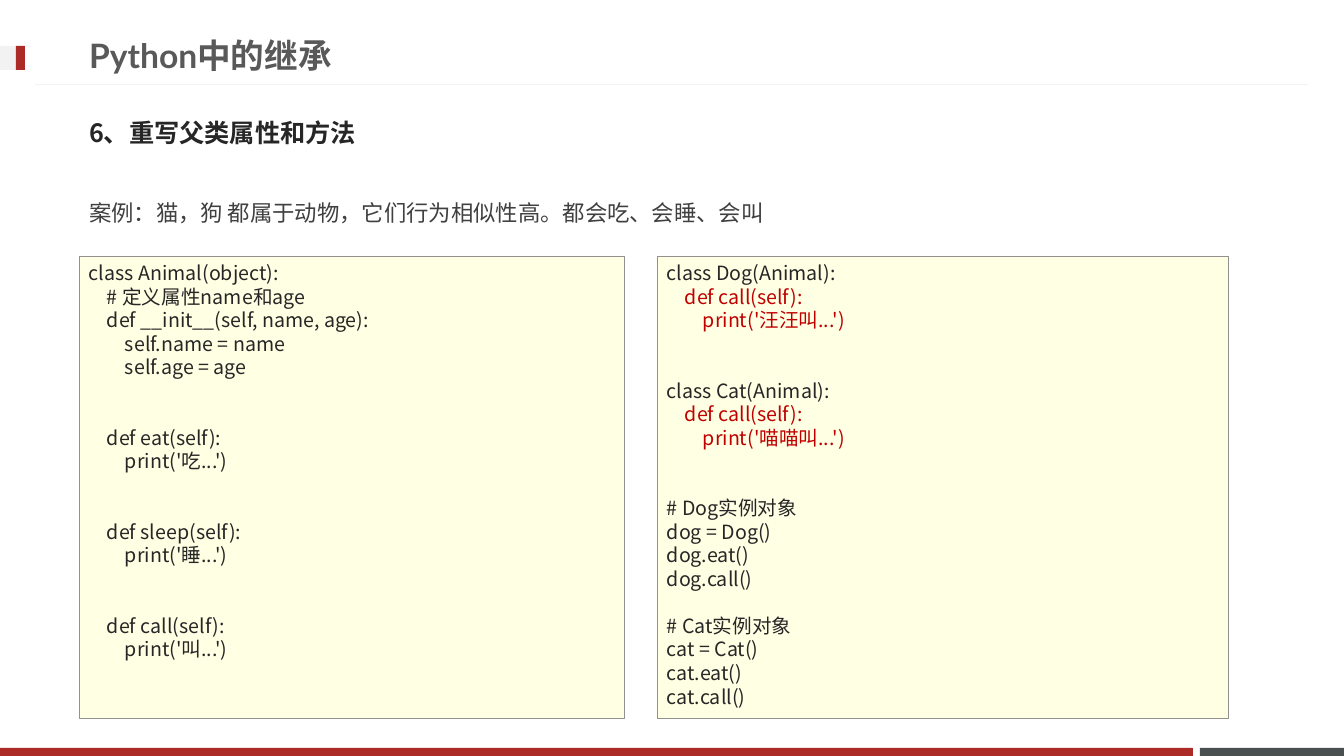
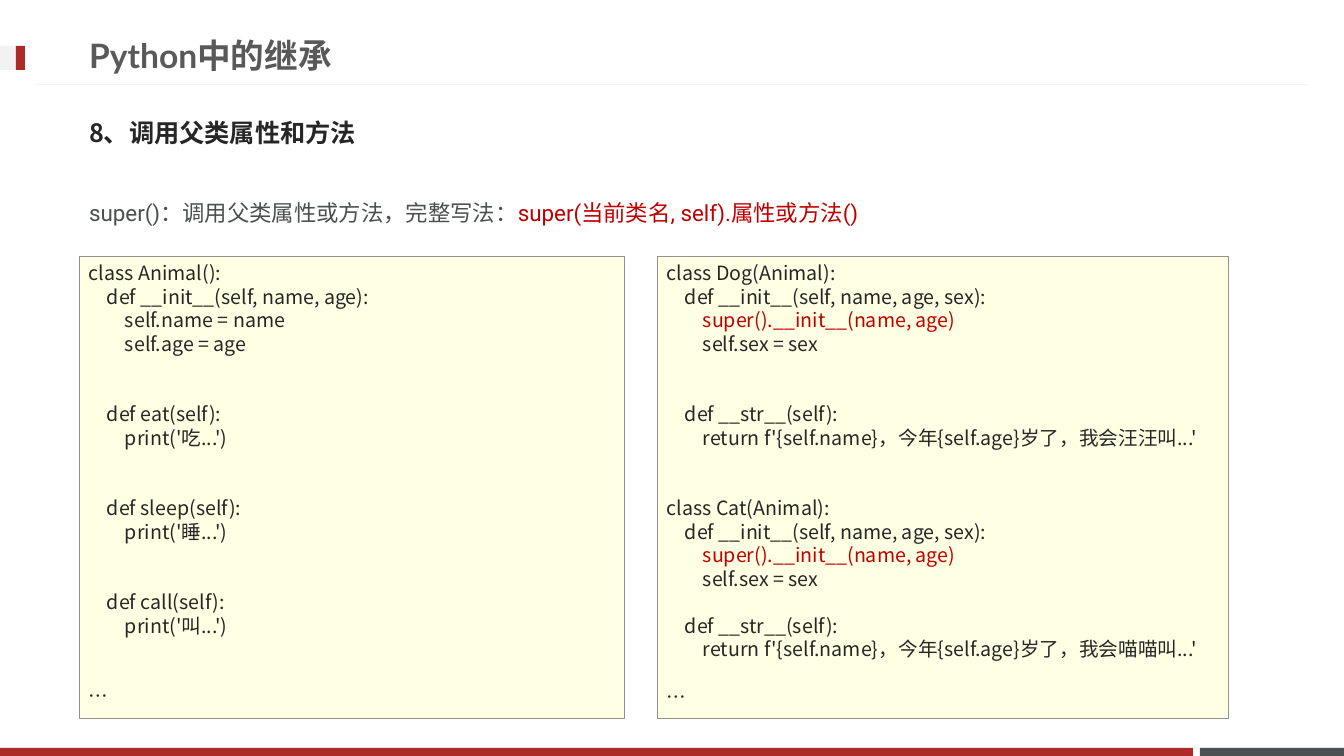
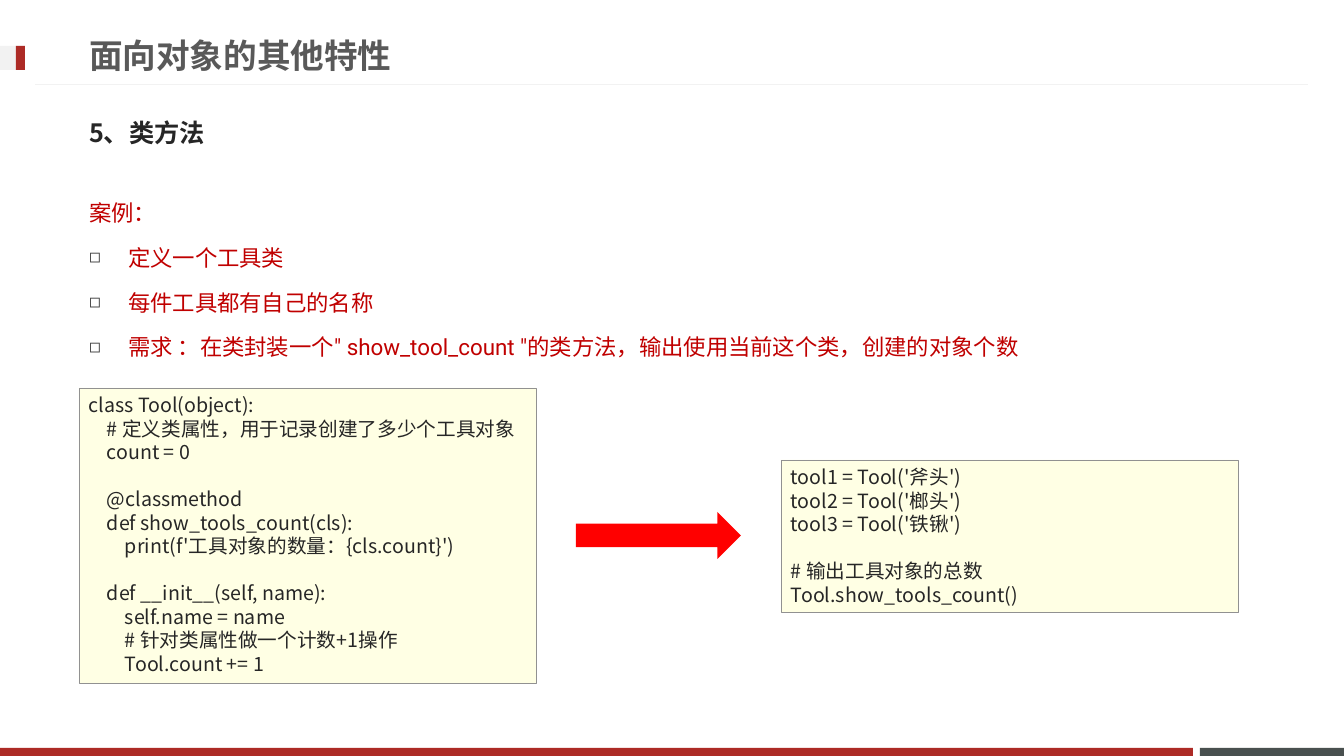
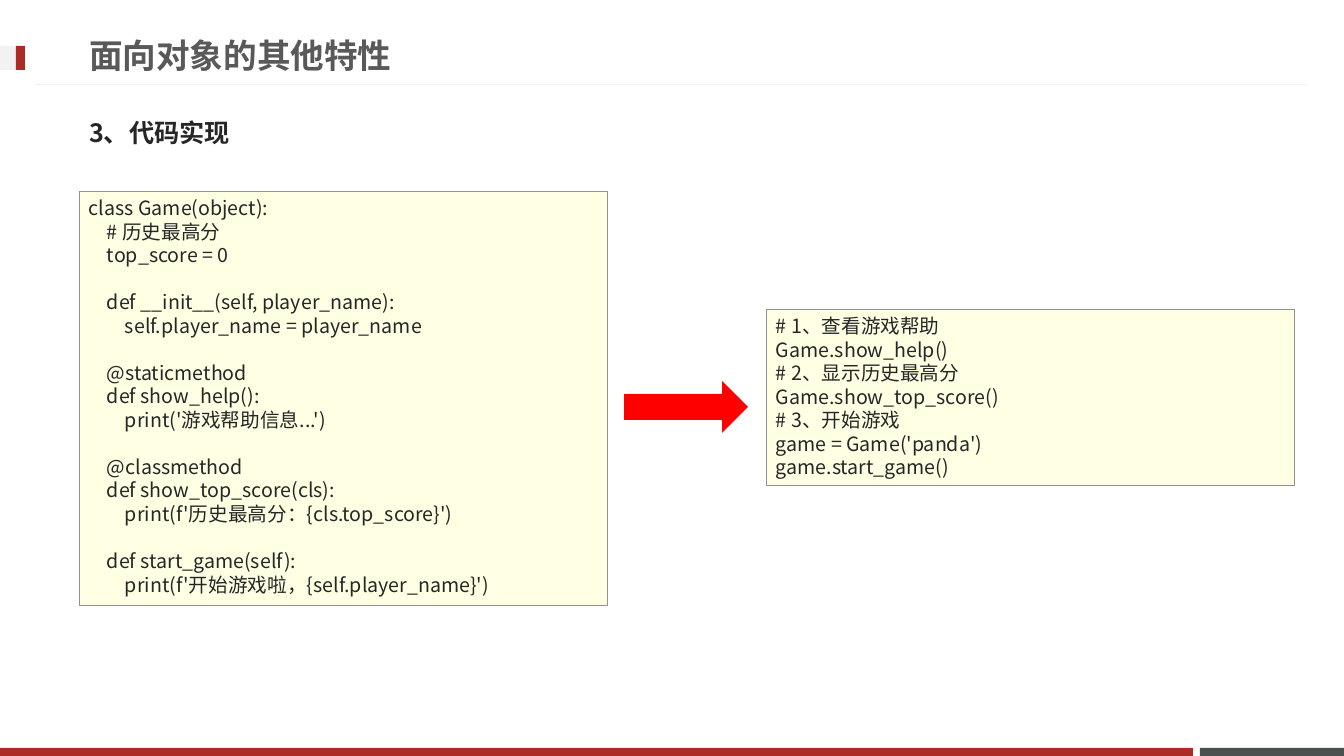
from dataclasses import dataclass
from typing import NamedTuple, Optional

from lxml import etree
from pptx import Presentation
from pptx.dml.color import RGBColor
from pptx.enum.shapes import MSO_CONNECTOR, MSO_SHAPE
from pptx.enum.text import MSO_ANCHOR, MSO_AUTO_SIZE, PP_ALIGN
from pptx.oxml.ns import qn
from pptx.util import Emu, Pt

RECT = MSO_SHAPE.RECTANGLE
ARROW = MSO_SHAPE.RIGHT_ARROW
STRAIGHT = MSO_CONNECTOR.STRAIGHT
TOP, MIDDLE = MSO_ANCHOR.TOP, MSO_ANCHOR.MIDDLE
LEFT = PP_ALIGN.LEFT
NO_FIT = MSO_AUTO_SIZE.NONE

# Shared look
RED, SLATE, PALE = "AD2B26", "49504F", "F2F2F2"
ACCENT, INK, TEXT, TITLE = "C00000", "262626", "404040", "595959"
CODE_FILL, CODE_LINE, ARROW_FILL = "FFFFE4", "919191", "FF0000"
CJK, TITLE_FONT, BODY_FONT = "Noto Sans CJK JP", "Lato", "Roboto"
CODE_PITCH, BODY_PITCH = 16.8, 28.7
CODE_INDENT, BULLET_INDENT = 18, 39


class Box(NamedTuple):
    x: int
    y: int
    w: int
    h: int


class Style(NamedTuple):
    size: int
    font: str
    color: str
    bold: bool = False


class Run(NamedTuple):
    text: str
    color: str


class Item(NamedTuple):
    runs: list[Run]
    bullet: bool = False


class Code(NamedTuple):
    box: Box
    text: str  # four spaces make a level, a leading "!" makes a line red


@dataclass
class Page:
    title: str
    heading: str
    codes: list[Code]
    items: Optional[list[Item]] = None
    body: Box = Box(79, 181, 1185, 465)
    arrow: Optional[Box] = None


TITLE_STYLE = Style(24, TITLE_FONT, TITLE, True)
HEADING_STYLE = Style(18, CJK, INK, True)
BODY_STYLE = Style(16, BODY_FONT, TEXT)
CODE_STYLE = Style(14, CJK, INK)
TITLE_BOX = Box(79, 27, 967, 57)
HEADING_BOX = Box(79, 104, 1185, 57)
LEFT_CODE, RIGHT_CODE = Box(79, 256, 545, 462), Box(657, 256, 571, 462)


# Helpers
def px(n: int) -> Emu:
    return Emu(round(n * 914400 / 100.8))


def rgb(color: str) -> RGBColor:
    return RGBColor.from_string(color)


def place(sp, box: Box) -> None:
    sp.left, sp.top, sp.width, sp.height = map(px, box)


def add_block(s, box: Box, fill: str, kind=RECT, line: Optional[str] = None):
    sp = s.shapes.add_shape(kind, *map(px, box))
    sp.shadow.inherit = False
    sp.fill.solid()
    sp.fill.fore_color.rgb = rgb(fill)
    if line:
        sp.line.color.rgb = rgb(line)
        sp.line.width = Pt(0.25)
    else:
        sp.line.fill.background()
    return sp


def add_run(p, text: str, style: Style) -> None:
    r = p.add_run()
    r.text = text
    r.font.size = Pt(style.size)
    r.font.name = style.font
    r.font.bold = style.bold
    r.font.color.rgb = rgb(style.color)
    rpr = r.font._element
    rpr.set("lang", "zh-CN")
    ea = etree.Element(qn("a:ea"), typeface=CJK)
    rpr.find(qn("a:latin")).addnext(ea)


def set_indent(p, left: int, bullet: bool = False) -> None:
    ppr = p._p.get_or_add_pPr()
    ppr.set("marL", str(px(left)))
    ppr.set("indent", str(-px(left) if bullet else 0))
    if not bullet:
        etree.SubElement(ppr, qn("a:buNone"))
        return
    color = etree.SubElement(ppr, qn("a:buClr"))
    etree.SubElement(color, qn("a:srgbClr"), val=TEXT)
    etree.SubElement(ppr, qn("a:buSzPct"), val="85000")
    etree.SubElement(ppr, qn("a:buChar"), char="◻")


def next_paragraph(tf, first: bool):
    p = tf.paragraphs[0] if first else tf.add_paragraph()
    p.alignment = LEFT
    return p


def setup_frame(sp, anchor):
    tf = sp.text_frame
    tf.word_wrap = True
    tf.auto_size = NO_FIT
    tf.vertical_anchor = anchor
    return tf


# Layout: bands, rule and marker are drawn once, then moved to the layout
def build_layout(layout, s) -> None:
    place(layout.placeholders.get(0), TITLE_BOX)
    place(layout.placeholders.get(1), HEADING_BOX)
    rule = s.shapes.add_connector(STRAIGHT, px(1308), px(85), px(35), px(85))
    rule.line.color.rgb = rgb(PALE)
    rule.line.width = Pt(0.75)
    etree.SubElement(rule.element.spPr, qn("a:effectLst"))
    decor = [
        add_block(s, Box(1200, 748, 144, 8), SLATE),
        add_block(s, Box(0, 748, 1193, 8), RED),
        rule,
        add_block(s, Box(0, 46, 25, 24), PALE),
        add_block(s, Box(16, 46, 9, 24), RED),
    ]
    for i, sp in enumerate(decor, 100):
        sp.element.xpath(".//p:cNvPr")[0].set("id", str(i))
        layout.shapes.element.append(sp.element)


# Slide parts
def fill_line(sp, text: str, style: Style, before: float = 0) -> None:
    tf = setup_frame(sp, MIDDLE)
    p = next_paragraph(tf, True)
    p.space_before = Pt(before)
    set_indent(p, 0)
    add_run(p, text, style)


def fill_body(sp, items: list[Item]) -> None:
    tf = setup_frame(sp, TOP)
    for i, item in enumerate(items):
        p = next_paragraph(tf, i == 0)
        p.line_spacing = Pt(BODY_PITCH)
        p.space_before = Pt(3.2)
        set_indent(p, BULLET_INDENT if item.bullet else 0, item.bullet)
        for run in item.runs:
            add_run(p, run.text, BODY_STYLE._replace(color=run.color))


def add_code(s, code: Code) -> None:
    sp = add_block(s, code.box, CODE_FILL, line=CODE_LINE)
    tf = setup_frame(sp, TOP)
    tf.margin_right = 0
    first, blanks = True, 0
    for line in code.text.strip().splitlines():
        text = line.strip()
        if not text:
            blanks += 1
            continue
        p = next_paragraph(tf, first)
        p.line_spacing = Pt(CODE_PITCH)
        p.space_before = Pt(blanks * CODE_PITCH)
        set_indent(p, (len(line) - len(text)) // 4 * CODE_INDENT)
        color = ACCENT if text.startswith("!") else INK
        add_run(p, text.lstrip("!"), CODE_STYLE._replace(color=color))
        first, blanks = False, 0


def fill_page(s, page: Page) -> None:
    title, heading, body = s.placeholders
    fill_line(title, page.title, TITLE_STYLE)
    fill_line(heading, page.heading, HEADING_STYLE, 3.6)
    if page.items:
        place(body, page.body)
        fill_body(body, page.items)
    else:
        body.element.getparent().remove(body.element)
    for code in page.codes:
        add_code(s, code)
    if page.arrow:
        add_block(s, page.arrow, ARROW_FILL, ARROW)


# Content
ACTIONS = """

    def eat(self):
        print('吃...')


    def sleep(self):
        print('睡...')


    def call(self):
        print('叫...')
"""

ANIMAL = """
class Animal(object):
    # 定义属性name和age
    def __init__(self, name, age):
        self.name = name
        self.age = age
""" + ACTIONS

ANIMAL_SHORT = """
class Animal():
    def __init__(self, name, age):
        self.name = name
        self.age = age
""" + ACTIONS + """

…
"""

OVERRIDES = """
class Dog(Animal):
    !def call(self):
        !print('汪汪叫...')


class Cat(Animal):
    !def call(self):
        !print('喵喵叫...')


# Dog实例对象
dog = Dog()
dog.eat()
dog.call()

# Cat实例对象
cat = Cat()
cat.eat()
cat.call()
"""

SUPER_CALLS = """
class Dog(Animal):
    def __init__(self, name, age, sex):
        !super().__init__(name, age)
        self.sex = sex


    def __str__(self):
        return f'{self.name}，今年{self.age}岁了，我会汪汪叫...'


class Cat(Animal):
    def __init__(self, name, age, sex):
        !super().__init__(name, age)
        self.sex = sex

    def __str__(self):
        return f'{self.name}，今年{self.age}岁了，我会喵喵叫...'

…
"""

TOOL = """
class Tool(object):
    # 定义类属性，用于记录创建了多少个工具对象
    count = 0

    @classmethod
    def show_tools_count(cls):
        print(f'工具对象的数量：{cls.count}')

    def __init__(self, name):
        self.name = name
        # 针对类属性做一个计数+1操作
        Tool.count += 1
"""

TOOL_USE = """
tool1 = Tool('斧头')
tool2 = Tool('榔头')
tool3 = Tool('铁锹')

# 输出工具对象的总数
Tool.show_tools_count()
"""

GAME = """
class Game(object):
    # 历史最高分
    top_score = 0

    def __init__(self, player_name):
        self.player_name = player_name

    @staticmethod
    def show_help():
        print('游戏帮助信息...')

    @classmethod
    def show_top_score(cls):
        print(f'历史最高分：{cls.top_score}')

    def start_game(self):
        print(f'开始游戏啦，{self.player_name}')
"""

GAME_USE = """
# 1、查看游戏帮助
Game.show_help()
# 2、显示历史最高分
Game.show_top_score()
# 3、开始游戏
game = Game('panda')
game.start_game()
"""

INHERITANCE, FEATURES = "Python中的继承", "面向对象的其他特性"
TOOL_TASKS = [
    "定义一个工具类",
    "每件工具都有自己的名称",
    "需求 ：在类封装一个\" show_tool_count \"的类方法，输出使用当前这个类，创建的对象个数",
]

PAGES = [
    Page(
        INHERITANCE, "6、重写父类属性和方法",
        [Code(LEFT_CODE, ANIMAL), Code(RIGHT_CODE, OVERRIDES)],
        [Item([Run("案例：猫，狗 都属于动物，它们行为相似性高。都会吃、会睡、会叫", TEXT)])],
    ),
    Page(
        INHERITANCE, "8、调用父类属性和方法",
        [Code(LEFT_CODE, ANIMAL_SHORT), Code(RIGHT_CODE, SUPER_CALLS)],
        [Item([Run("super()：调用父类属性或方法，完整写法：", SLATE),
               Run("super(当前类名, self).属性或方法()", ACCENT)])],
        body=Box(79, 181, 1185, 536),
    ),
    Page(
        FEATURES, "5、类方法",
        [Code(Box(79, 388, 457, 295), TOOL), Code(Box(781, 460, 457, 152), TOOL_USE)],
        [Item([Run("案例：", ACCENT)])]
        + [Item([Run(task, ACCENT)], bullet=True) for task in TOOL_TASKS],
        arrow=Box(576, 512, 165, 47),
    ),
    Page(
        FEATURES, "3、代码实现",
        [Code(Box(79, 191, 528, 414), GAME), Code(Box(766, 309, 528, 176), GAME_USE)],
        arrow=Box(624, 381, 124, 52),
    ),
]


def main() -> None:
    prs = Presentation()
    prs.slide_width, prs.slide_height = px(1344), px(756)
    layout = prs.slide_layouts.get_by_name("Two Content")
    for i, page in enumerate(PAGES):
        s = prs.slides.add_slide(layout)
        if i == 0:
            build_layout(layout, s)
        fill_page(s, page)
    prs.save("out.pptx")


if __name__ == "__main__":
    main()
